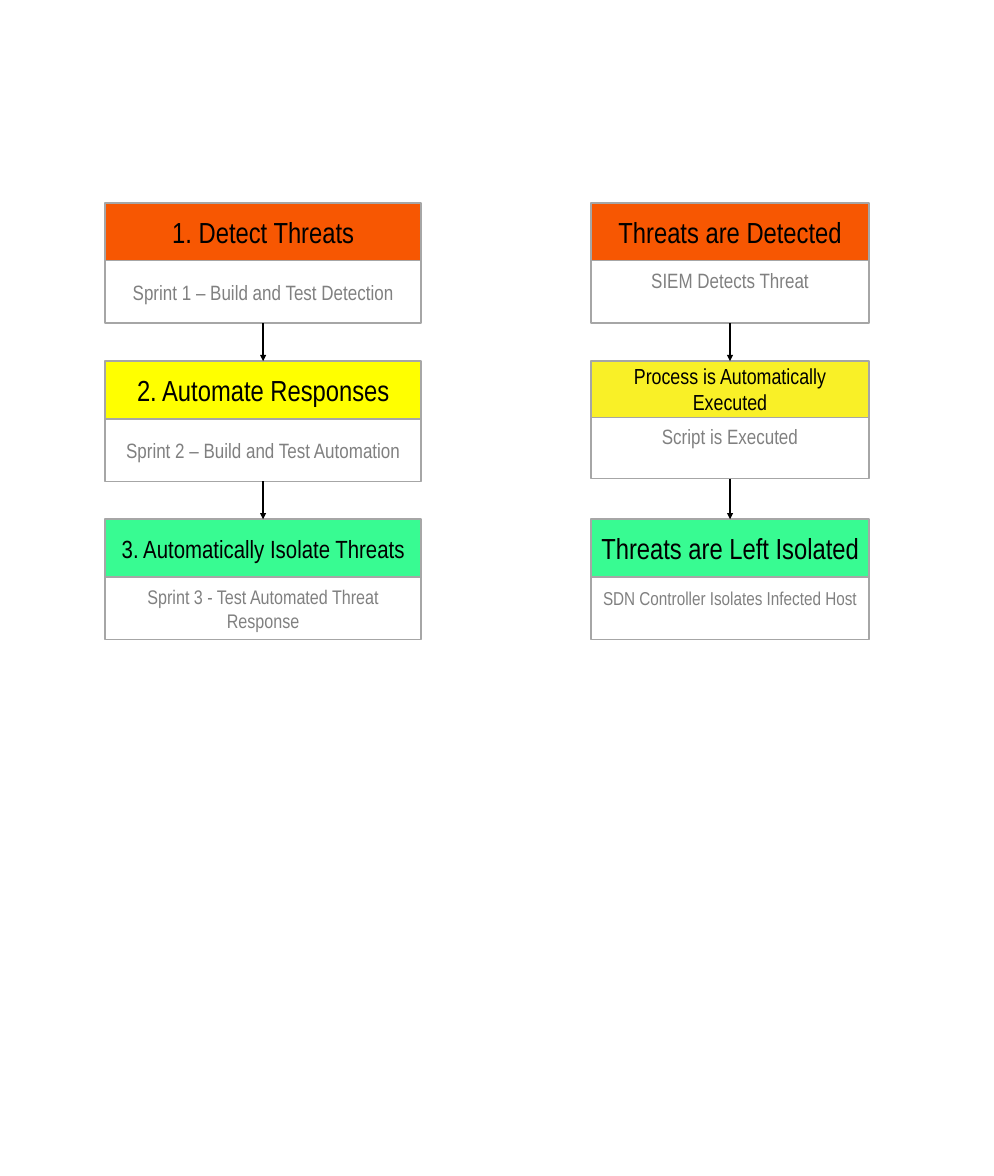
import pptx
import pptx.util
import pptx.dml.color
import pptx.enum.shapes
import pptx.enum.text
import pptx.oxml
import pptx.oxml.ns
from pptx.util import Cm

FONT = "Arial Narrow"
TOP, STEP = 6.91, 5.39
HEAD, BODY = 1.97, 2.13

# Each step: heading, size, fill, detail, size, head height, body height
PLAN = [
    ("1. Detect Threats", 28, "F75702", "Sprint 1 – Build and Test Detection", 20, HEAD, BODY),
    ("2. Automate Responses", 28, "FFFF00", "Sprint 2 – Build and Test Automation", 20, HEAD, BODY),
    ("3. Automatically Isolate Threats", 24, "38FB92",
     "Sprint 3 - Test Automated Threat Response", 19, HEAD, BODY),
]
RESULT = [
    ("Threats are Detected", 28, "F75702", "SIEM Detects Threat", 20, HEAD, BODY),
    ("Process is Automatically Executed", 21, "F9F027", "Script is Executed", 20, 1.92, 2.08),
    ("Threats are Left Isolated", 28, "38FB92",
     "SDN Controller Isolates Infected Host", 18, HEAD, BODY),
]


def color(code):
    return pptx.dml.color.RGBColor.from_string(code)


def write(frame, text, *, size, ink, raised=False):
    """Centre text in a frame; raised text sits half a line above the middle."""
    frame.word_wrap = True
    frame.vertical_anchor = pptx.enum.text.MSO_ANCHOR.MIDDLE
    frame.margin_left = frame.margin_right = Cm(0.25)
    frame.margin_top = Cm(0.13)
    frame.margin_bottom = Cm(0.13 + size * 0.04 * raised)
    line = frame.paragraphs[0]
    line.alignment = pptx.enum.text.PP_ALIGN.CENTER
    run = line.add_run()
    run.text = text
    run.font.name = FONT
    run.font.size = pptx.util.Pt(size)
    run.font.color.rgb = color(ink)


def add_box(group, left, top, width, height, fill):
    box = group.shapes.add_shape(pptx.enum.shapes.MSO_SHAPE.RECTANGLE,
                                 Cm(left), Cm(top), Cm(width), Cm(height))
    box.shadow.inherit = False
    box.fill.solid()
    box.fill.fore_color.rgb = color(fill)
    box.line.color.rgb = color("A6A6A6")
    box.line.width = pptx.util.Pt(1.5)
    return box


def add_card(slide, left, top, width, step, raised):
    title, size, fill, detail, small, high, low = step
    group = slide.shapes.add_group_shape()
    body = add_box(group, left, top + high, width, low, "FFFFFF")
    write(body.text_frame, detail, size=small, ink="808080", raised=raised)
    head = add_box(group, left, top, width, high, fill)
    write(head.text_frame, title, size=size, ink="000000")
    return head, body


def add_arrow(slide, start, end):
    """Join the bottom of one box to the top of the next."""
    arrow = slide.shapes.add_connector(pptx.enum.shapes.MSO_CONNECTOR.STRAIGHT, 0, 0, 0, 0)
    arrow.begin_connect(start, 2)
    arrow.end_connect(end, 0)
    arrow.line.color.rgb = color("000000")
    arrow.line.width = pptx.util.Pt(1.75)
    tip = pptx.oxml.parse_xml(
        f'<a:tailEnd {pptx.oxml.ns.nsdecls("a")} type="triangle"/>')
    arrow.line._get_or_add_ln().append(tip)
    props = arrow.element.spPr
    props.append(pptx.oxml.parse_xml(f'<a:effectLst {pptx.oxml.ns.nsdecls("a")}/>'))


def add_flow(slide, left, width, steps, raised=False):
    cards = [add_card(slide, left, TOP + i * STEP, width, step, raised)
             for i, step in enumerate(steps)]
    for (_, body), (head, _) in zip(cards, cards[1:]):
        add_arrow(slide, body, head)


def main():
    deck = pptx.Presentation()
    deck.slide_width, deck.slide_height = Cm(33.87), Cm(40.06)
    slide = deck.slides.add_slide(deck.slide_layouts[6])
    add_flow(slide, 3.58, 10.77, PLAN)
    add_flow(slide, 20.14, 9.47, RESULT, raised=True)
    deck.save("out.pptx")


if __name__ == "__main__":
    main()
